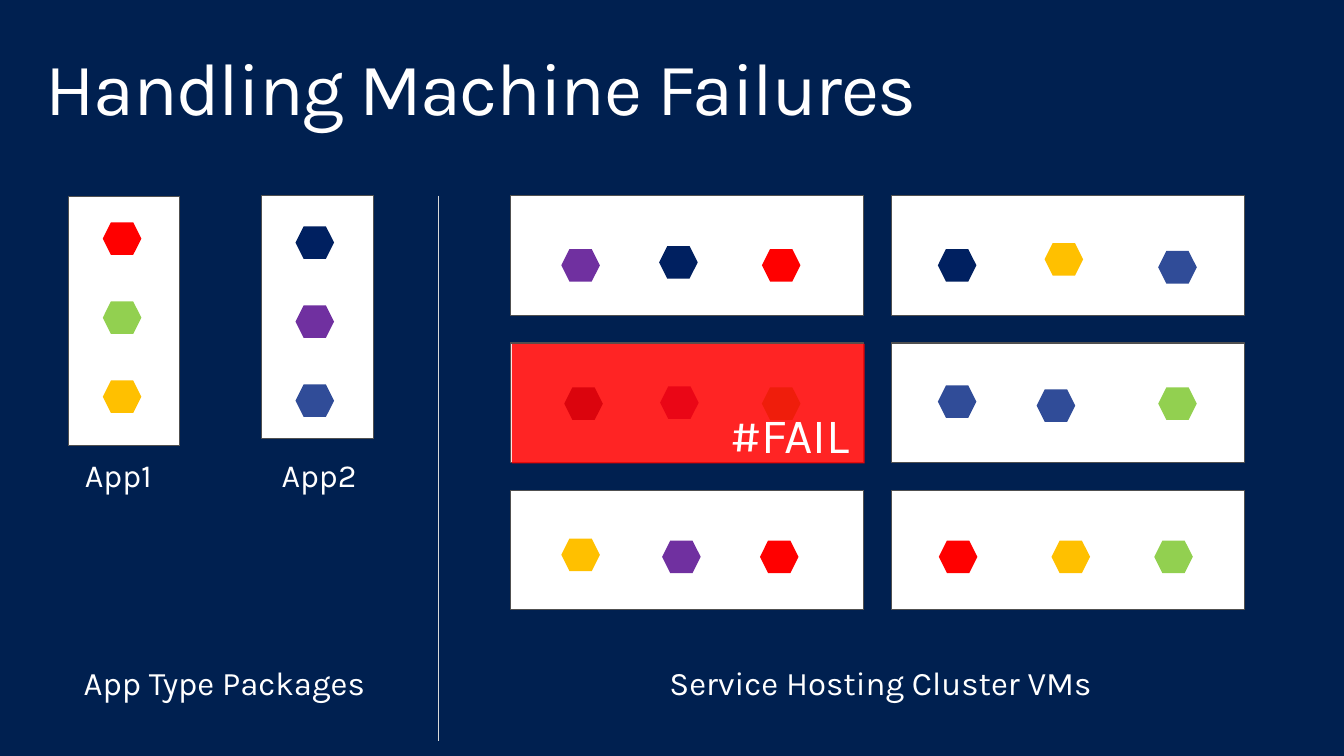
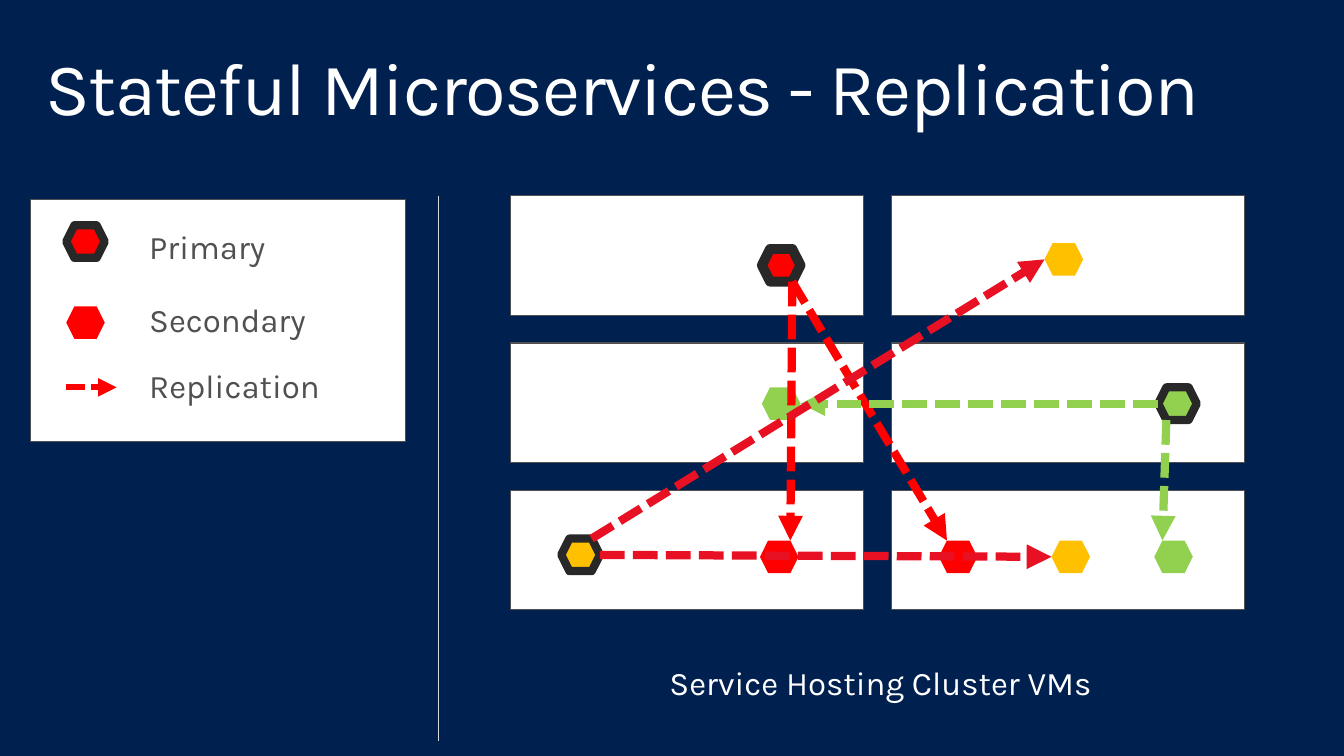
import pptx
import pptx.util
import pptx.dml.color
import pptx.enum.dml
import pptx.enum.shapes
import pptx.enum.text
import pptx.oxml
import pptx.oxml.ns
from dataclasses import dataclass
from lxml import etree


@dataclass(frozen=True)
class Theme:
    font: str = "Karla"
    background: str = "002050"
    white: str = "FFFFFF"
    grey: str = "505050"
    divider: str = "D9D9D9"
    primary: str = "282828"
    red: str = "FF0000"
    crimson: str = "E81123"
    green: str = "92D050"
    yellow: str = "FFC000"
    navy: str = "002060"
    purple: str = "7030A0"
    blue: str = "304C98"
    title_size: float = 54
    fail_size: float = 36
    body_size: float = 24
    app_size: float = 23.5
    card_line: float = 0.85
    arrow_line: float = 6
    key_line: float = 4.5


THEME = Theme()
SHAPE = pptx.enum.shapes.MSO_SHAPE
CENTER = pptx.enum.text.PP_ALIGN.CENTER
Inches = pptx.util.Inches

SLIDE_SIZE = (13.6, 7.65)
GRID_LEFT, GRID_TOP = 5.17, 1.98
COLUMN_STEP, ROW_STEP = 3.85, 1.49
MACHINE_SIZE = (3.57, 1.21)
HEX_SIZE = (0.39, 0.33)
HEX_INSET = HEX_SIZE[1] / 4
SERVICE_STEP = 0.8
TEXT_INSETS = (0.2, 0.16)
TITLE_INSETS = (0.16, 0.1)

TITLES = ("Handling Machine Failures", "Stateful Microservices - Replication")
CLUSTER_CAPTION = "Service Hosting Cluster VMs"
PACKAGES_CAPTION = "App Type Packages"

PACKAGES = [
    ("App1", (0.69, 1.99, 1.13, 2.52), (1.04, 2.25), 0.66, ("red", "green", "yellow")),
    ("App2", (2.65, 1.98, 1.13, 2.46), (2.99, 2.29), 2.65, ("navy", "purple", "blue")),
]

CLUSTER = {
    (0, 0): [("purple", 0.51, 0.54), ("navy", 1.5, 0.51), ("red", 2.54, 0.54)],
    (0, 1): [("navy", 0.47, 0.54), ("yellow", 1.55, 0.48), ("blue", 2.7, 0.56)],
    (1, 0): [("navy", 0.54, 0.45), ("purple", 1.51, 0.44), ("green", 2.54, 0.45)],
    (1, 1): [("blue", 0.47, 0.43), ("blue", 1.47, 0.47), ("green", 2.7, 0.45)],
    (2, 0): [("yellow", 0.51, 0.49), ("purple", 1.53, 0.51), ("red", 2.52, 0.51)],
    (2, 1): [("red", 0.48, 0.51), ("yellow", 1.62, 0.51), ("green", 2.66, 0.51)],
}
FAILED_MACHINE = (1, 0)

PRIMARIES = {(0, 0, 2): 7.25, (1, 1, 2): 6, (2, 0, 0): 6}
SECONDARIES = {(0, 1, 1), (1, 0, 2), (2, 0, 2), (2, 1, 0), (2, 1, 1), (2, 1, 2)}

REPLICATIONS = [
    ("red", (0, 0, 2), "bottom right", (2, 1, 0), "top left"),
    ("red", (0, 0, 2), "bottom right", (2, 0, 2), "top right"),
    ("green", (1, 1, 2), "bottom left", (2, 1, 2), "top left"),
    ("green", (1, 1, 2), "left", (1, 0, 2), "right"),
    ("crimson", (2, 0, 0), "top right", (0, 1, 1), "left"),
    ("crimson", (2, 0, 0), "right", (2, 1, 1), "left"),
]

LEGEND_CARD = (0.31, 2.02, 3.79, 2.45)
LEGEND_LEFT = 0.67
LEGEND = [("Primary", 2.18, 2.28), ("Secondary", 2.92, 3.1), ("Replication", 3.58, 3.92)]


def color(name):
    return pptx.dml.color.RGBColor.from_string(getattr(THEME, name))


def add_block(page, kind, frame, fill, line=None, width=THEME.card_line):
    block = page.shapes.add_shape(kind, *map(Inches, frame))
    block.shadow.inherit = False
    block.fill.solid()
    block.fill.fore_color.rgb = color(fill)
    if line:
        block.line.color.rgb = color(line)
        block.line.width = pptx.util.Pt(width)
    else:
        block.line.fill.background()
    return block


def add_card(page, frame):
    return add_block(page, SHAPE.RECTANGLE, frame, "white", "grey")


def add_hexagon(page, place, fill, border=None):
    return add_block(page, SHAPE.HEXAGON, (*place, *HEX_SIZE), fill,
                     "primary" if border else None, border)


def add_text(page, frame, text, size=THEME.body_size, fill="white", align=None,
             insets=TEXT_INSETS, space_after=6):
    box = page.shapes.add_textbox(*map(Inches, frame))
    body = box.text_frame
    body.text = text
    body.word_wrap = True
    body.margin_left = body.margin_right = Inches(insets[0])
    body.margin_top = body.margin_bottom = Inches(insets[1])
    para = body.paragraphs[0]
    para.alignment = align
    para.line_spacing = 0.9
    para.space_after = pptx.util.Pt(space_after)
    span = para.runs[0]
    span.font.name = THEME.font
    span.font.size = pptx.util.Pt(size)
    span.font.color.rgb = color(fill)
    return box


def add_line(page, start, end, fill, width, arrow=False):
    line = page.shapes.add_connector(pptx.enum.shapes.MSO_CONNECTOR.STRAIGHT,
                                     *map(Inches, (*start, *end)))
    line.line.color.rgb = color(fill)
    line.line.width = pptx.util.Pt(width)
    if arrow:
        line.line.dash_style = pptx.enum.dml.MSO_LINE.SQUARE_DOT
        outline = line.line._get_or_add_ln()
        etree.SubElement(outline, pptx.oxml.ns.qn("a:tailEnd"), type="triangle")
    etree.SubElement(line._element.spPr, pptx.oxml.ns.qn("a:effectLst"))
    return line


def machine_place(row, column):
    return GRID_LEFT + column * COLUMN_STEP, GRID_TOP + row * ROW_STEP


def replica_place(row, column, index):
    left, top = machine_place(row, column)
    _, across, down = CLUSTER[row, column][index]
    return left + across, top + down


def hexagon_corner(place, corner):
    left, top = place
    width, height = HEX_SIZE
    inset = HEX_INSET if " " in corner else 0
    across = width - inset if "right" in corner else inset
    down = 0 if "top" in corner else height if "bottom" in corner else height / 2
    return left + across, top + down


def add_cluster_page(deck, title):
    page = deck.slides.add_slide(deck.slide_layouts[6])
    page.background.fill.solid()
    page.background.fill.fore_color.rgb = color("background")
    heading = add_text(page, (0.3, 0.42, 12.75, 0.98), title, THEME.title_size,
                       insets=TITLE_INSETS, space_after=0)
    heading.text_frame.paragraphs[0].runs[0]._r.get_or_add_rPr().set("spc", "-100")
    add_line(page, (4.44, 1.98), (4.44, 7.5), "divider", 1)
    add_text(page, (4.78, 6.59, 8.26, 0.69), CLUSTER_CAPTION, align=CENTER)
    for machine in CLUSTER:
        add_card(page, (*machine_place(*machine), *MACHINE_SIZE))
    return page


def build_failures(deck):
    page = add_cluster_page(deck, TITLES[0])
    add_text(page, (0.3, 6.59, 3.94, 0.69), PACKAGES_CAPTION, align=CENTER)
    for name, card, (left, top), label_left, services in PACKAGES:
        add_card(page, card)
        for index, service in enumerate(services):
            add_hexagon(page, (left, top + index * SERVICE_STEP), service)
        add_text(page, (label_left, 4.49, 1.31, 0.68), name, THEME.app_size)
    for machine, replicas in CLUSTER.items():
        for index, (service, _, _) in enumerate(replicas):
            add_hexagon(page, replica_place(*machine, index), service)
    left, top = machine_place(*FAILED_MACHINE)
    overlay = add_block(page, SHAPE.RECTANGLE, (left + 0.01, top + 0.01, *MACHINE_SIZE), "red")
    tint = overlay._element.spPr.find(".//" + pptx.oxml.ns.qn("a:srgbClr"))
    etree.SubElement(tint, pptx.oxml.ns.qn("a:alpha"), val="86000")
    add_text(page, (7.19, 4, 1.88, 0.88), "#FAIL", THEME.fail_size)


def build_replication(deck):
    page = add_cluster_page(deck, TITLES[1])
    for row, column, index in sorted(SECONDARIES | set(PRIMARIES)):
        replica = (row, column, index)
        service = CLUSTER[row, column][index][0]
        add_hexagon(page, replica_place(*replica), service, PRIMARIES.get(replica))
    add_card(page, LEGEND_CARD)
    for name, label_top, mark_top in LEGEND:
        add_text(page, (1.31, label_top, 2.46, 0.69), name, fill="grey")
        if name == "Replication":
            add_line(page, (LEGEND_LEFT, mark_top), (1.18, mark_top), "red",
                     THEME.key_line, arrow=True)
        else:
            add_hexagon(page, (LEGEND_LEFT, mark_top), "red", 6 if name == "Primary" else None)
    for fill, source, source_corner, target, target_corner in REPLICATIONS:
        add_line(page, hexagon_corner(replica_place(*source), source_corner),
                 hexagon_corner(replica_place(*target), target_corner),
                 fill, THEME.arrow_line, arrow=True)


def main():
    deck = pptx.Presentation()
    deck.slide_width, deck.slide_height = map(Inches, SLIDE_SIZE)
    build_failures(deck)
    build_replication(deck)
    deck.save("out.pptx")


if __name__ == "__main__":
    main()
